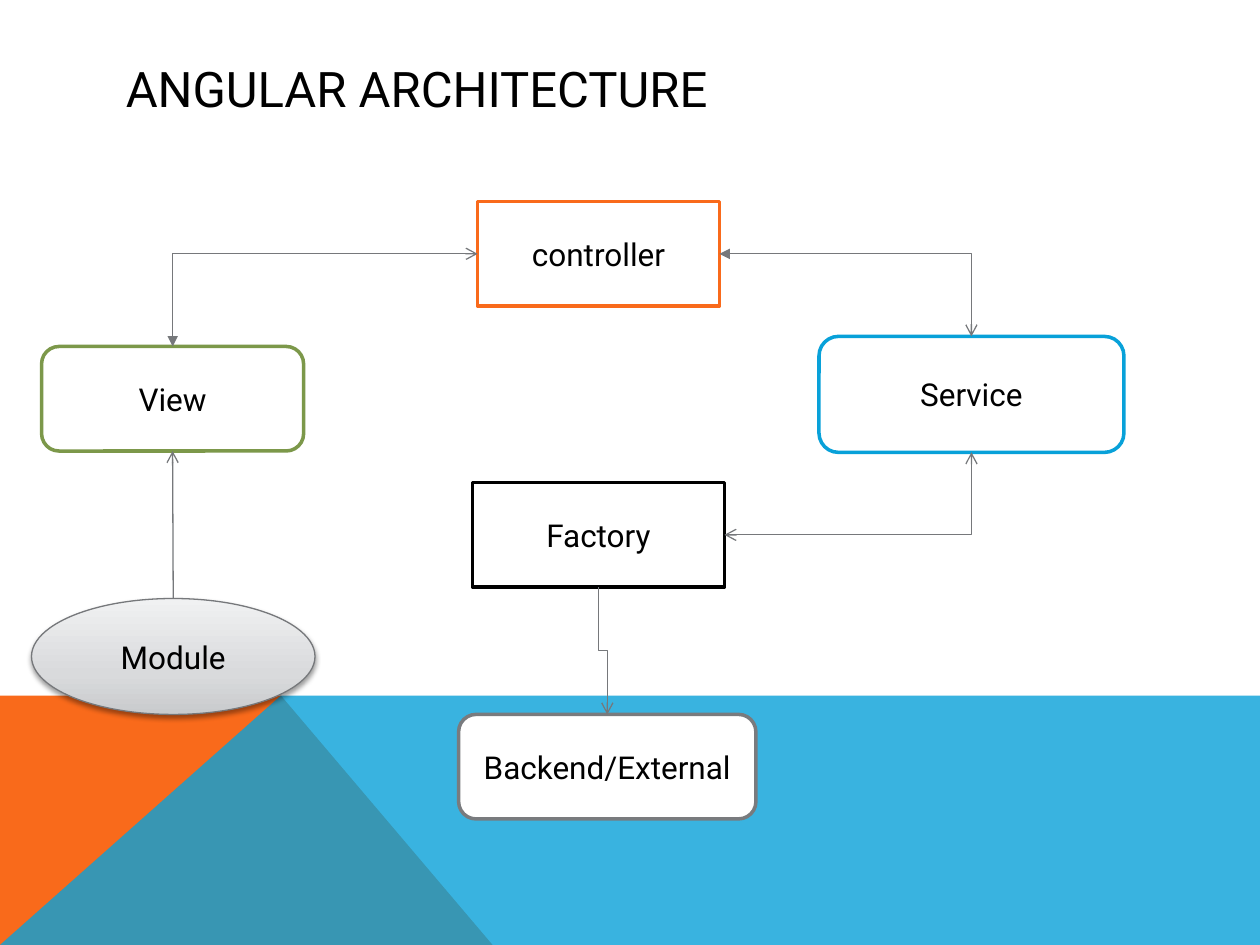
from copy import deepcopy
from lxml import etree
from pptx import Presentation
from pptx.dml.color import RGBColor
from pptx.enum.shapes import MSO_CONNECTOR, MSO_SHAPE
from pptx.enum.text import MSO_ANCHOR, PP_ALIGN
from pptx.oxml.ns import qn
from pptx.util import Inches, Pt

RECT, ROUND, OVAL = MSO_SHAPE.RECTANGLE, MSO_SHAPE.ROUNDED_RECTANGLE, MSO_SHAPE.OVAL
STRAIGHT, ELBOW = MSO_CONNECTOR.STRAIGHT, MSO_CONNECTOR.ELBOW
MIDDLE, CENTER, LEFT = MSO_ANCHOR.MIDDLE, PP_ALIGN.CENTER, PP_ALIGN.LEFT

BLACK = RGBColor(0x00, 0x00, 0x00)
WHITE = RGBColor(0xFF, 0xFF, 0xFF)
ORANGE = RGBColor(0xF9, 0x6A, 0x1B)
BLUE = RGBColor(0x08, 0xA1, 0xD9)
GREEN = RGBColor(0x7C, 0x98, 0x4A)
GRAY = RGBColor(0x79, 0x7B, 0x7E)
WIRE = RGBColor(0x76, 0x78, 0x7B)
SHADES = [(0, RGBColor(0xC9, 0xCB, 0xCD)), (0.35, RGBColor(0xD9, 0xDA, 0xDC)),
          (1, RGBColor(0xF0, 0xF1, 0xF2))]

WIDE, HIGH = 10, 7.5
BAND, PEAK, FOOT = 5.52, 2.23, 3.91
FONT = "Roboto"
TITLE = "ANGULAR ARCHITECTURE"

NODES = {
    "View": (ROUND, 0.33, 2.75, 2.08, 0.83, GREEN),
    "controller": (RECT, 3.79, 1.6, 1.92, 0.83, ORANGE),
    "Service": (ROUND, 6.5, 2.67, 2.42, 0.92, BLUE),
    "Factory": (RECT, 3.75, 3.83, 2, 0.83, BLACK),
    "Module": (OVAL, 0.25, 4.75, 2.25, 0.92, WIRE),
    "Backend/External": (ROUND, 3.64, 5.67, 2.36, 0.83, GRAY),
}

LINKS = [
    ("View", "top", "controller", "left", "bentConnector2", "triangle"),
    ("controller", "right", "Service", "top", "bentConnector2", "triangle"),
    ("Service", "bottom", "Factory", "right", "bentConnector2", "arrow"),
    ("Module", "top", "View", "bottom", "line", None),
    ("Factory", "bottom", "Backend/External", "top", "bentConnector3", None),
]


def write(shape, text, size, align):
    frame = shape.text_frame
    frame.word_wrap = True
    frame.vertical_anchor = MIDDLE
    para = frame.paragraphs[0]
    para.text = text
    para.alignment = align
    para.font.size = Pt(size)
    para.font.name = FONT
    para.font.color.rgb = BLACK


def panel(slide, points, color, alpha=100):
    inch = [(Inches(x), Inches(y)) for x, y in points]
    pen = slide.shapes.build_freeform(*inch[0])
    pen.add_line_segments(inch[1:], close=True)
    shape = pen.convert_to_shape()
    shape.shadow.inherit = False
    shape.line.fill.background()
    shape.fill.solid()
    shape.fill.fore_color.rgb = color
    if alpha < 100:
        tint = shape.fill._xPr.find(".//" + qn("a:srgbClr"))
        etree.SubElement(tint, qn("a:alpha"), val=str(alpha * 1000))


def shade(shape):
    fill = shape.fill
    fill.gradient()
    fill.gradient_angle = 90
    stops = shape._element.spPr.find(".//" + qn("a:gsLst"))
    stops.insert(1, deepcopy(stops[0]))
    for stop, (place, color) in zip(fill.gradient_stops, SHADES):
        stop.position = place
        stop.color.rgb = color
    cast = etree.SubElement(
        shape._element.spPr.find(qn("a:effectLst")), qn("a:outerShdw"),
        blurRad=str(Pt(3.1)), dist=str(Pt(1.6)), dir="5400000", rotWithShape="0")
    ink = etree.SubElement(cast, qn("a:srgbClr"), val=str(BLACK))
    etree.SubElement(ink, qn("a:alpha"), val="38000")


def node(slide, text, kind, x, y, w, h, color):
    shape = slide.shapes.add_shape(kind, Inches(x), Inches(y), Inches(w), Inches(h))
    shape.shadow.inherit = False
    shape.line.color.rgb = color
    if kind == OVAL:
        shape.line.width = Pt(0.75)
        shade(shape)
    else:
        shape.line.width = Pt(2)
        shape.fill.solid()
        shape.fill.fore_color.rgb = WHITE
    write(shape, text, 18, CENTER)


def port(name, side):
    x, y, w, h = NODES[name][1:5]
    return {"top": (x + w / 2, y), "bottom": (x + w / 2, y + h),
            "left": (x, y + h / 2), "right": (x + w, y + h / 2)}[side]


def link(slide, start, side, end, goal, bend, head):
    (x1, y1), (x2, y2) = port(start, side), port(end, goal)
    turn = bend != "line" and side in ("top", "bottom")
    if turn:
        mx, my = (x1 + x2) / 2, (y1 + y2) / 2
        dx, dy = (y2 - y1) / 2, (x1 - x2) / 2
        x1, y1, x2, y2 = mx - dx, my - dy, mx + dx, my + dy
    kind = STRAIGHT if bend == "line" else ELBOW
    wire = slide.shapes.add_connector(kind, *map(Inches, (x1, y1, x2, y2)))
    props = wire._element.spPr
    props.find(qn("a:prstGeom")).set("prst", bend)
    if turn:
        props.find(qn("a:xfrm")).set("rot", "5400000")
    wire.line.color.rgb = WIRE
    wire.line.width = Pt(0.75)
    stroke = props.find(qn("a:ln"))
    if head:
        etree.SubElement(stroke, qn("a:headEnd"), type=head)
    etree.SubElement(stroke, qn("a:tailEnd"), type="arrow")
    etree.SubElement(props, qn("a:effectLst"))


def main():
    deck = Presentation()
    deck.slide_width, deck.slide_height = Inches(WIDE), Inches(HIGH)
    slide = deck.slides.add_slide(deck.slide_layouts[6])
    panel(slide, [(0, HIGH), (0, BAND), (PEAK, BAND), (FOOT, HIGH)], ORANGE)
    panel(slide, [(0, HIGH), (PEAK, BAND), (WIDE, BAND), (WIDE, HIGH)], BLUE, 80)
    title = slide.shapes.add_textbox(Inches(0.9), Inches(0.4), Inches(8.22), Inches(0.6))
    write(title, TITLE, 28, LEFT)
    for text, look in NODES.items():
        node(slide, text, *look)
    for row in LINKS:
        link(slide, *row)
    deck.save("out.pptx")


if __name__ == "__main__":
    main()
